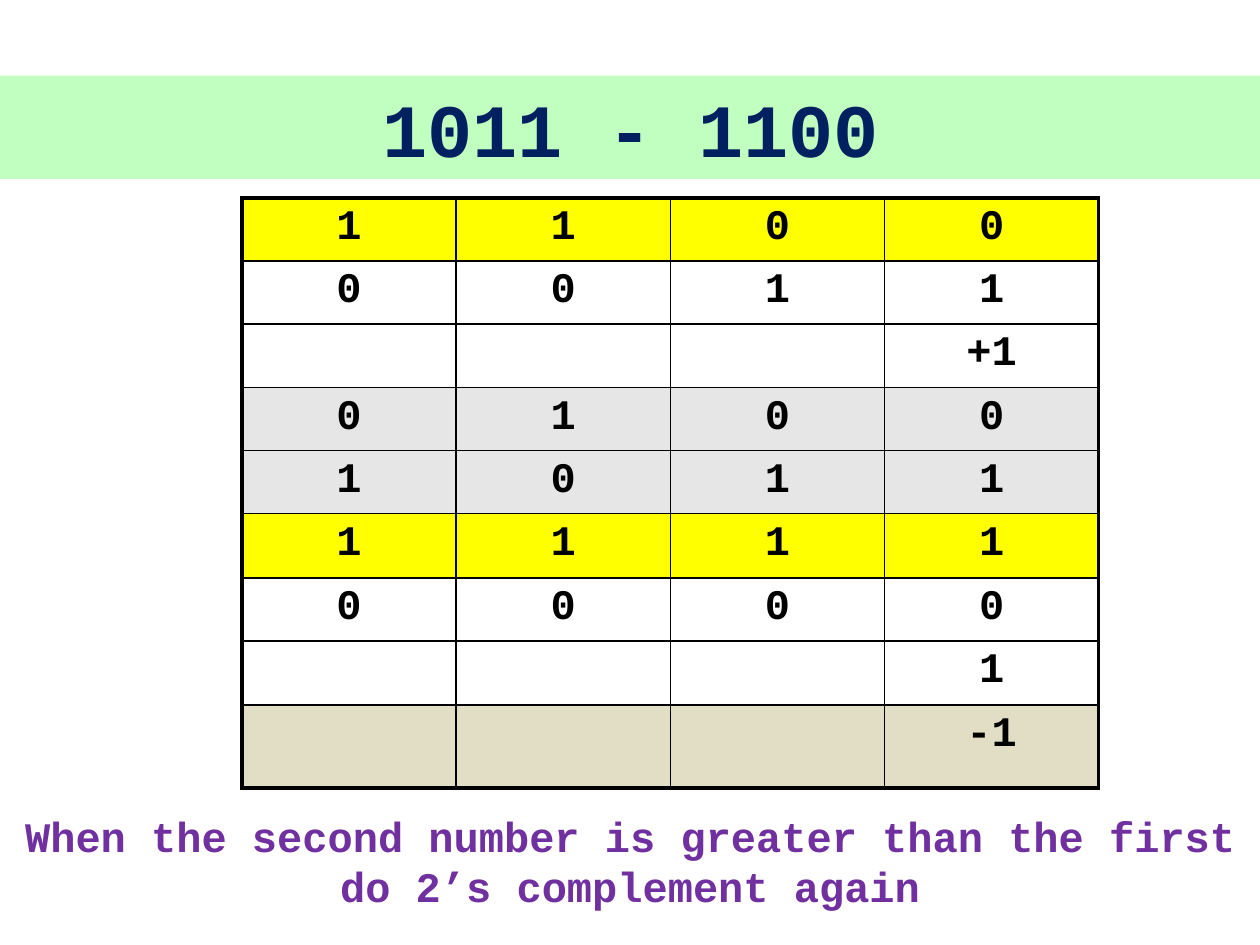
from dataclasses import dataclass

import pptx
import pptx.dml.color
import pptx.enum.text
import pptx.oxml.ns
import pptx.util
from lxml import etree
from pptx.util import Inches

COLORS = {
    "black": "000000", "white": "FFFFFF", "yellow": "FFFF00",
    "gray": "E7E6E6", "tan": "E1DEC5", "green": "66FF66",
    "navy": "002060", "purple": "7030A0",
}
FONT = "Courier New"
COL_WIDTH = 1.7
THIN, THICK = 1, 2.25


@dataclass
class Step:
    digits: tuple[str, ...]
    fill: str | None = None
    height: float = 0.5


STEPS = [
    Step(("1", "1", "0", "0"), "yellow"),
    Step(("0", "0", "1", "1")),
    Step(("", "", "", "+1")),
    Step(("0", "1", "0", "0"), "gray"),
    Step(("1", "0", "1", "1"), "gray"),
    Step(("1", "1", "1", "1"), "yellow", 0.51),
    Step(("0", "0", "0", "0"), "white"),
    Step(("", "", "", "1"), "white"),
    Step(("", "", "", "-1"), "tan", 0.66),
]


def rgb(name: str) -> pptx.dml.color.RGBColor:
    return pptx.dml.color.RGBColor.from_string(COLORS[name])


def write(tf, text: str, size: float, color: str) -> None:
    p = tf.paragraphs[0]
    p.alignment = pptx.enum.text.PP_ALIGN.CENTER
    p.font.size = pptx.util.Pt(size)
    if text:
        r = p.add_run()
        r.text = text
        r.font.name = FONT
        r.font.size = pptx.util.Pt(size)
        r.font.bold = True
        r.font.color.rgb = rgb(color)


def sub(parent, tag: str, **attrs: str):
    return etree.SubElement(parent, pptx.oxml.ns.qn(tag), **attrs)


def set_borders(cell, widths: dict[str, float]) -> None:
    tcPr = cell._tc.get_or_add_tcPr()
    for side, width in widths.items():
        ln = sub(tcPr, f"a:ln{side}", w=str(pptx.util.Pt(width)))
        sub(sub(ln, "a:solidFill"), "a:srgbClr", val=COLORS["black"])


def add_title(s) -> None:
    title = s.shapes.title
    title.left, title.top = Inches(0), Inches(0.6)
    title.width, title.height = Inches(10.01), Inches(0.82)
    title.fill.solid()
    title.fill.fore_color.rgb = rgb("green")
    color = title.fill._xPr.find(".//" + pptx.oxml.ns.qn("a:srgbClr"))
    sub(color, "a:alpha", val="40000")
    tf = title.text_frame
    tf.vertical_anchor = pptx.enum.text.MSO_ANCHOR.MIDDLE
    tf.auto_size = pptx.enum.text.MSO_AUTO_SIZE.NONE
    write(tf, "1011 - 1100", 43, "navy")


def add_steps(s, steps: list[Step]) -> None:
    rows, cols = len(steps), len(steps[0].digits)
    table = s.shapes.add_table(
        rows, cols, Inches(1.92), Inches(1.57), Inches(COL_WIDTH * cols),
        Inches(sum(step.height for step in steps))).table
    table.first_row = table.horz_banding = False
    for col in table.columns:
        col.width = Inches(COL_WIDTH)
    for i, step in enumerate(steps):
        table.rows[i].height = Inches(step.height)
        for j, digit in enumerate(step.digits):
            cell = table.cell(i, j)
            # The outer frame is thicker than the inner grid
            set_borders(cell, {
                "L": THICK if j == 0 else THIN,
                "R": THICK if j == cols - 1 else THIN,
                "T": THICK if i == 0 else THIN,
                "B": THICK if i == rows - 1 else THIN,
            })
            if step.fill:
                cell.fill.solid()
                cell.fill.fore_color.rgb = rgb(step.fill)
            else:
                cell.fill.background()
            write(cell.text_frame, digit, 24, "black")


def add_note(s, text: str) -> None:
    tf = s.shapes.add_textbox(
        Inches(0), Inches(6.38), Inches(10), Inches(1.12)).text_frame
    tf.word_wrap = True
    write(tf, text, 24, "purple")


def main() -> None:
    prs = pptx.Presentation()
    prs.slide_width, prs.slide_height = Inches(10), Inches(7.5)
    s = prs.slides.add_slide(prs.slide_layouts.get_by_name("Title Only"))

    # Title band
    add_title(s)
    # Subtraction by two's complement, step by step
    add_steps(s, STEPS)
    # Rule below the table
    add_note(s, "When the second number is greater than the first "
                "do 2’s complement again")

    prs.save("out.pptx")


if __name__ == "__main__":
    main()
